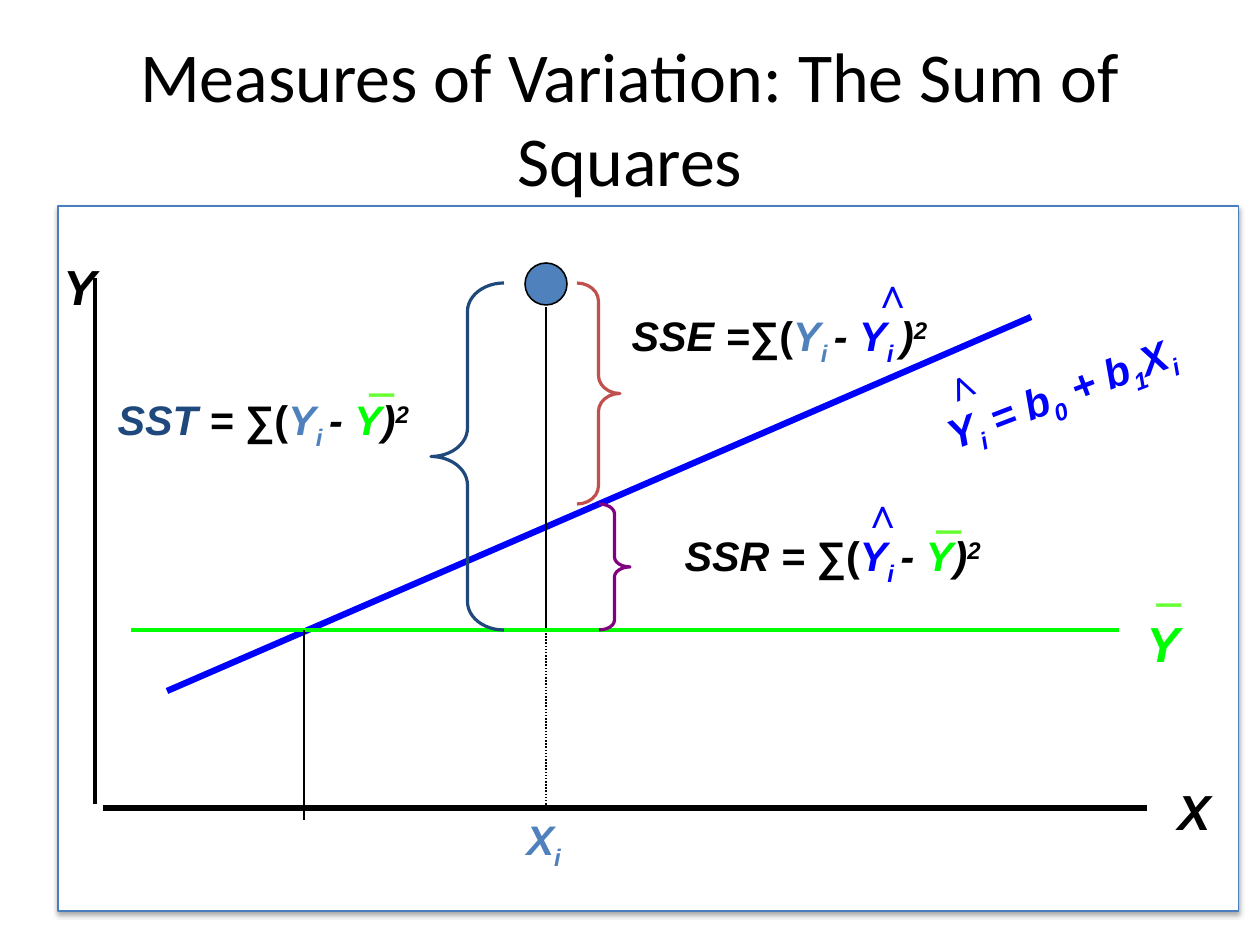
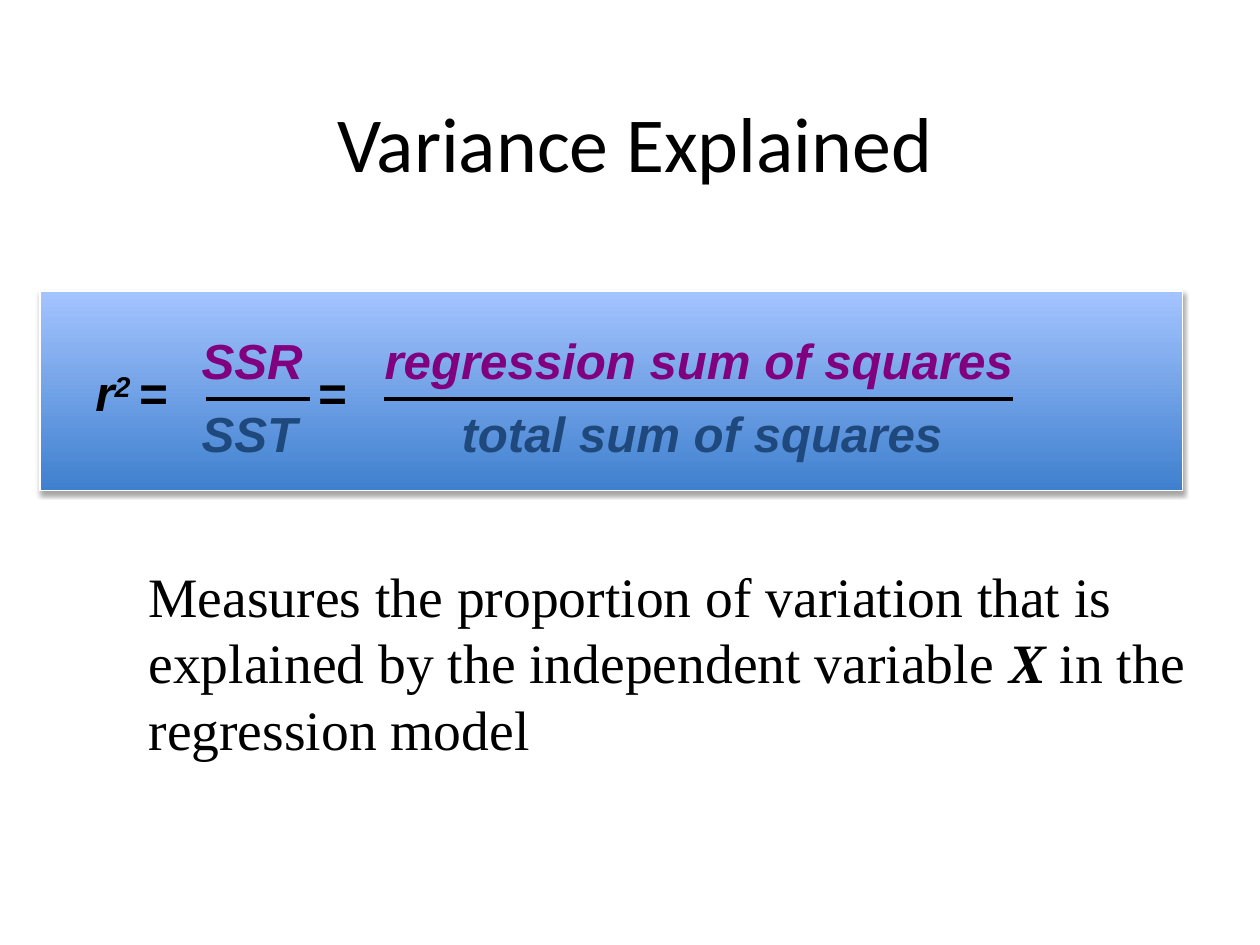
from dataclasses import dataclass
from lxml import etree
from pptx import Presentation
from pptx import util as u
from pptx.dml.color import RGBColor
from pptx.enum import dml, shapes, text
from pptx.oxml import ns

SCALE = 8000  # EMU in one px


@dataclass(frozen=True)
class Theme:
    black: str = "000000"
    white: str = "FFFFFF"
    edge: str = "4B7EBC"
    point: str = "4F81BD"
    total: str = "1F497D"
    error: str = "C0504D"
    regr: str = "800080"
    fit: str = "0000FF"
    mean: str = "00FF00"
    bar: str = "66FF33"
    low: str = "3F80CE"
    high: str = "A4C4FF"
    head: str = "Calibri"
    sans: str = "Arial"
    serif: str = "Times New Roman"
    math: int = 26
    big: int = 31
    body: int = 35


T = Theme()
SUB, SUP = -25000, 30000
TOP = text.MSO_ANCHOR.TOP
MID = text.MSO_ANCHOR.MIDDLE


def px(n):
    return u.Emu(n * SCALE)


def rgb(code):
    return RGBColor.from_string(code)


def node(parent, tag, **attrs):
    return etree.SubElement(parent, ns.qn(tag), attrs)


class Region:
    """Places parts on a slide, relative to the corner of a box."""

    def __init__(self, slide, left, top):
        self.draw, self.left, self.top = slide.shapes, left, top

    def spot(self, x, y):
        return px(self.left + x), px(self.top + y)

    def shape(self, kind, x, y, w, h, color, width, fill=None):
        part = self.draw.add_shape(kind, *self.spot(x, y), px(w), px(h))
        part.shadow.inherit = False
        part.line.color.rgb = rgb(color)
        part.line.width = u.Pt(width)
        if fill:
            part.fill.solid()
            part.fill.fore_color.rgb = rgb(fill)
        else:
            part.fill.background()
        return part

    def panel(self, w, h, color, fill):
        part = self.shape(shapes.MSO_SHAPE.RECTANGLE, 0, 0, w, h, color, 0.75, fill)
        glow = node(part._element.spPr.find(ns.qn("a:effectLst")), "a:outerShdw",
                    blurRad=str(u.Pt(3.1)), dist=str(u.Pt(1.8)),
                    dir="5400000", rotWithShape="0")
        shade = node(glow, "a:srgbClr", val=T.black)
        node(shade, "a:alpha", val="35000")
        return part

    def line(self, x1, y1, x2, y2, width, color=T.black, dots=False):
        part = self.draw.add_connector(shapes.MSO_CONNECTOR.STRAIGHT,
                                       *self.spot(x1, y1), *self.spot(x2, y2))
        part.line.color.rgb = rgb(color)
        part.line.width = u.Pt(width)
        if dots:
            part.line.dash_style = dml.MSO_LINE.ROUND_DOT
        node(part._element.spPr, "a:effectLst")

    def brace(self, kind, x, y, w, h, bend, color):
        part = self.shape(kind, x, y, w, h, color, 2)
        part.adjustments[0] = bend

    def label(self, x, y, w, h, runs, size, font=T.sans, bold=True,
              turn=0, tab=None):
        part = self.draw.add_textbox(*self.spot(x, y), px(w), px(h))
        part.rotation = turn
        frame = part.text_frame
        setup(frame, TOP)
        frame.auto_size = text.MSO_AUTO_SIZE.SHAPE_TO_FIT_TEXT
        para = frame.paragraphs[0]
        props = para._p.get_or_add_pPr()
        node(node(props, "a:spcBef"), "a:spcPct", val="50000")
        if tab:
            node(node(props, "a:tabLst"), "a:tab", pos=str(px(tab)), algn="l")
        for run in runs:
            write(para, size, font, bold, *run)


def setup(frame, anchor):
    frame.word_wrap = True
    frame.auto_size = text.MSO_AUTO_SIZE.NONE
    frame.vertical_anchor = anchor
    frame.margin_left = frame.margin_right = u.Inches(0.11)
    frame.margin_top = frame.margin_bottom = u.Inches(0.05)


def write(para, size, font, bold, words, color=T.black, base=0, slant=True,
          heavy=False):
    run = para.add_run()
    run.text = words
    run.font.size, run.font.name = u.Pt(size), font
    run.font.bold, run.font.italic = bold or heavy, slant
    run.font.color.rgb = rgb(color)
    if base:
        run._r.get_or_add_rPr().set("baseline", str(base))


def start(deck, words, size, x, y, w, h):
    slide = deck.slides.add_slide(deck.slide_layouts[5])
    head = slide.shapes.title
    head.left, head.top, head.width, head.height = map(px, (x, y, w, h))
    setup(head.text_frame, MID)
    para = head.text_frame.paragraphs[0]
    para.alignment = text.PP_ALIGN.CENTER
    write(para, size, T.head, False, words, slant=False)
    return slide


# Pieces shared by the formulas
SUM = ("∑(", T.black, 0, False)
MINUS = ("- ",)
POINT = [("Y", T.point), ("i ", T.point, SUB)]
FIT = [("Y", T.fit), ("i ", T.fit, SUB)]
MEAN = [("Y", T.mean)]
SQUARE = [(")",), ("2", T.black, SUP)]


def plot(slide, left, top):
    area = Region(slide, left, top)
    area.panel(1181, 705, T.edge, T.white)

    # Axes, fitted line and mean
    mid, level, base = 488, 424, 602
    area.line(37, 72, 37, 598, 2)
    area.line(45, base, 1089, base, 4)
    area.line(109, 485, 973, 111, 4, T.fit)
    area.shape(shapes.MSO_SHAPE.OVAL, 467, 57, 42, 42, T.black, 1, T.point)
    area.line(mid, 101, mid, level - 2, 1)
    area.line(73, level, 1061, level, 2, T.mean)
    area.line(mid, level + 3, mid, base - 2, 1, dots=True)
    area.line(246, level, 246, base + 12, 1)

    # Braces for the three deviations
    first, second = shapes.MSO_SHAPE.LEFT_BRACE, shapes.MSO_SHAPE.RIGHT_BRACE
    high, fit = 77, 298
    area.brace(first, 373, high, 73, level - high, 0.39, T.total)
    area.brace(second, 519, high, 43, fit - high, 0.42, T.error)
    area.brace(second, 541, fit, 31, level - fit, 0.32, T.regr)

    # Axis names
    for x, y, w, name, color in ((-7, 45, 106, "Y", T.black),
                                 (1107, 570, 64, "X", T.black),
                                 (1076, 402, 64, "Y", T.mean)):
        area.label(x, y, w, 72, [(name, color)], T.big)
    area.label(456, 603, 115, 63, [("X", T.point), ("i", T.point, SUB)], T.math)

    # Formulas
    for x, y, w, runs in (
            (47, 183, 357, [("SST ", T.total), ("= ",), SUM, *POINT, MINUS, *MEAN]),
            (561, 99, 346, [("SSE =",), SUM, *POINT, MINUS, *FIT]),
            (614, 319, 462, [("SSR = ",), SUM, *FIT, MINUS, *MEAN])):
        area.label(x, y, w, 63, runs + SQUARE, T.math)
    model = [(words, T.fit, shift) for words, shift in (
        ("Y", 0), ("i", SUB), (" = b", 0), ("0", SUB),
        (" + b", 0), ("1", SUB), ("X", 0), ("i", SUB))]
    area.label(866, 130, 409, 63, model, T.math, turn=339)

    # Hats and bars over the letters
    for x, y, w, turn in ((802, 56, 149, 0), (792, 276, 149, 0), (866, 130, 146, 336)):
        area.label(x, y, w, 63, [("∧", T.fit, 0, False)], T.math, turn=turn)
    for x, y in ((1086, 340), (866, 267), (299, 130)):
        area.label(x, y, 83, 72, [("_", T.bar, 0, False)], T.big, T.serif)


def ratio(slide, left, top):
    area = Region(slide, left, top)
    fill = area.panel(1143, 200, T.white, T.low).fill
    fill.gradient()
    fill.gradient_angle = 90
    for stop, color in zip(fill.gradient_stops, (T.low, T.high)):
        stop.color.rgb = rgb(color)

    # Fractions
    for y, w, tab, words, color in (
            (34, 978, 183, "SSR\tregression sum of squares", T.regr),
            (107, 904, 260, "SST\ttotal sum of squares", T.total)):
        area.label(149, y, w, 72, [(words, color)], T.big, tab=tab)
    for x1, x2 in ((166, 270), (344, 973)):
        area.line(x1, 108, x2, 108, 2)

    # Left side and equals signs
    area.label(43, 66, 1177, 72, [("r",), ("2 ", T.black, SUP), ("=\t=",)],
               T.big, tab=222)


def note(slide, left, top):
    runs = [("Measures the proportion of variation that is explained by the "
             "independent variable ", T.black, 0, False),
            ("X", T.black, 0, True, True),
            (" in the regression model", T.black, 0, False)]
    Region(slide, left, top).label(0, 0, 1062, 216, runs, T.body, T.serif, False)


def main():
    deck = Presentation()
    deck.slide_width, deck.slide_height = px(1260), px(945)
    plot(start(deck, "Measures of Variation: The Sum of Squares", 44.1,
               63, 38, 1134, 158), 58, 206)
    slide = start(deck, "Variance Explained", 49, 168, 59, 933, 165)
    ratio(slide, 40, 291)
    note(slide, 136, 556)
    deck.save("out.pptx")


if __name__ == "__main__":
    main()
